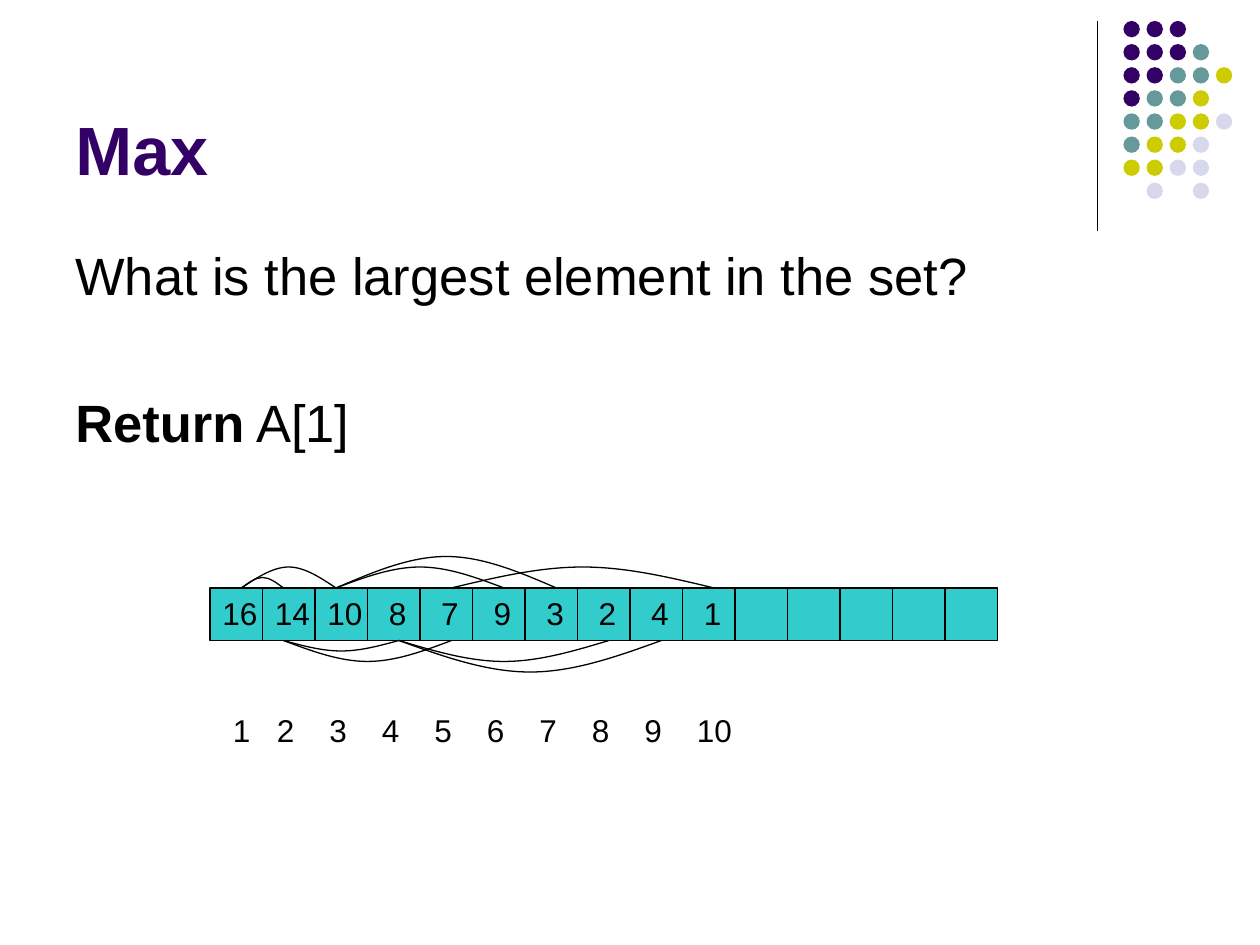
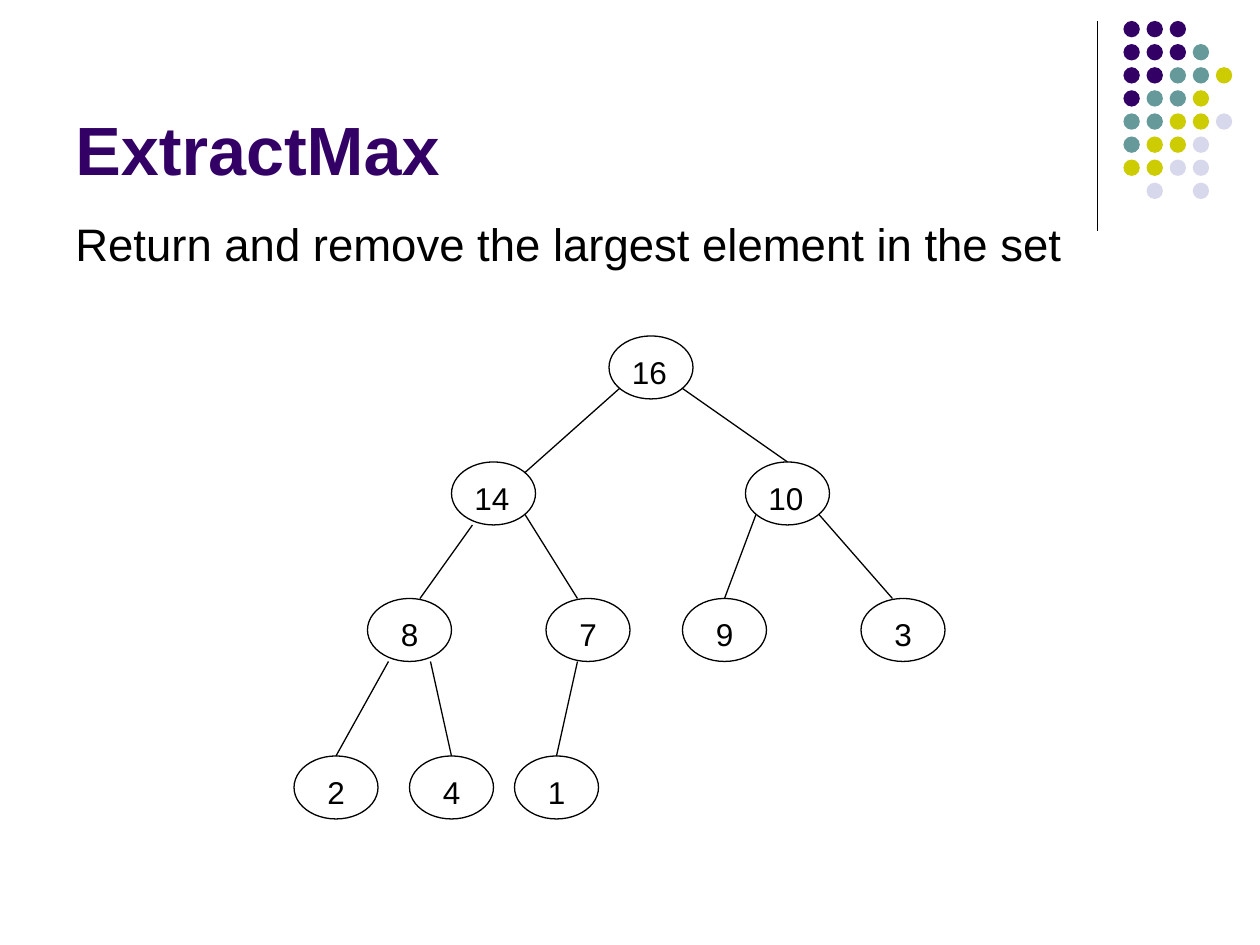
from lxml import etree
from pptx import Presentation
from pptx.dml.color import RGBColor
from pptx.enum.shapes import MSO_CONNECTOR, MSO_SHAPE
from pptx.enum.text import MSO_ANCHOR
from pptx.oxml.ns import qn
from pptx.util import Inches, Pt

OVAL, RECT = MSO_SHAPE.OVAL, MSO_SHAPE.RECTANGLE
STRAIGHT = MSO_CONNECTOR.STRAIGHT
TOP, BOTTOM = MSO_ANCHOR.TOP, MSO_ANCHOR.BOTTOM

BLACK = RGBColor(0x00, 0x00, 0x00)
PURPLE = RGBColor(0x33, 0x00, 0x66)
TEAL = RGBColor(0x66, 0x99, 0x99)
YELLOW = RGBColor(0xCC, 0xCC, 0x00)
LILAC = RGBColor(0xD8, 0xD8, 0xEC)
AQUA = RGBColor(0x33, 0xCC, 0xCC)
FONT = "Arial"

# Drawings sit on a grid of twelfths of an inch
UNIT = 1 / 12

# Corner ornament, one letter per dot
DOTS = ["PPP", "PPPT", "PPTTY", "PTTY", "TTYYL", "TYYL", "YYLL", " L L"]
INKS = {"P": PURPLE, "T": TEAL, "Y": YELLOW, "L": LILAC}

# The heap in array order; the parent of item n is n // 2
HEAP = [16, 14, 10, 8, 7, 9, 3, 2, 4, 1]
CELL, CELLS = 5 * UNIT, 15
# Where arcs meet the array, and the height of the arc from each item
# to its parent, negative below the array (grid units)
FEET = [3, 7, 12, 18, 23, 28, 33, 38, 43, 48]
ARCS = [1, 2, -1, -2, 2, 3, -2, -3, 2]
# Node corners in the tree (grid units)
NODES = [(30, 0), (15, 12), (43, 12), (7, 25), (24, 25),
         (37, 25), (54, 25), (0, 40), (11, 40), (21, 40)]
# Edge ends for items 2 to 10: offset in the parent, offset in the child
LOW, HIGH = (1, 5), (7, 5)
EDGES = [(LOW, (7, 1)), (HIGH, (4, 0)), ((2, 6), (5, 0)),
         (HIGH, (3, 0)), (LOW, (4, 0)), (HIGH, (3, 0)),
         ((2, 6), (4, 0)), ((6, 6), (4, 0)), ((3, 6), (4, 0))]


def set_tabs(para, stops, kind):
    tabs = etree.SubElement(para._p.get_or_add_pPr(), qn("a:tabLst"))
    for stop in stops:
        etree.SubElement(tabs, qn("a:tab"), pos=str(Inches(stop)), algn=kind)


def add_text(slide, box, lines, size=18, color=BLACK, bold=False, anchor=TOP,
             gap=0, stops=(), kind="l"):
    """Each line is a string, or a list of (text, bold) runs."""
    frame = slide.shapes.add_textbox(*map(Inches, box)).text_frame
    frame.word_wrap = True
    frame.vertical_anchor = anchor
    for i, line in enumerate(lines):
        para = frame.paragraphs[0] if i == 0 else frame.add_paragraph()
        if i:
            para.space_before = Pt(gap)
        if stops:
            set_tabs(para, stops, kind)
        for text, heavy in [(line, bold)] if isinstance(line, str) else line:
            run = para.add_run()
            run.text = text
            font = run.font
            font.name, font.size, font.bold = FONT, Pt(size), heavy
            font.color.rgb = color


def paint(shape, fill=None, line=True):
    shape.shadow.inherit = False
    if fill is None:
        shape.fill.background()
    else:
        shape.fill.solid()
        shape.fill.fore_color.rgb = fill
    if line:
        shape.line.color.rgb = BLACK
        shape.line.width = Pt(0.75)
    else:
        shape.line.fill.background()


def add_form(slide, form, box, fill=None, line=True):
    shape = slide.shapes.add_shape(form, *map(Inches, box))
    paint(shape, fill, line)


def add_line(slide, *ends):
    rule = slide.shapes.add_connector(STRAIGHT, *map(Inches, ends))
    rule.line.color.rgb = BLACK
    rule.line.width = Pt(0.75)
    etree.SubElement(rule._element.spPr, qn("a:effectLst"))


def add_arc(slide, x, y, width, lift):
    pen = slide.shapes.build_freeform(Inches(x), Inches(y), scale=1.0)
    tip = (Inches(x + width / 2), Inches(y - lift))
    pen.add_line_segments([tip, (Inches(x + width), Inches(y))], close=False)
    shape = pen.convert_to_shape()
    paint(shape)
    # Bend the two halves into curves that are level at the tip
    wide, high = Inches(width), Inches(abs(lift))
    base, peak = (high, 0) if lift > 0 else (0, high)
    mid = high // 2
    bends = [[(wide // 6, mid), (wide // 3, peak)],
             [(wide * 2 // 3, peak), (wide * 5 // 6, mid)]]
    ends = [(wide // 2, peak), (wide, base)]
    halves = list(shape._element.iter(qn("a:lnTo")))
    for half, bend, end in zip(halves, bends, ends):
        half.tag = qn("a:cubicBezTo")
        half.clear()
        for px, py in bend + [end]:
            etree.SubElement(half, qn("a:pt"), x=str(px), y=str(py))


def add_dots(slide, x, y, pitch=2.2 * UNIT, size=0.13):
    group = slide.shapes.add_group_shape()
    for r, row in enumerate(DOTS):
        for c, key in enumerate(row):
            if key in INKS:
                box = (x + c * pitch, y + r * pitch, size, size)
                add_form(group, OVAL, box, INKS[key], line=False)


def add_page(deck, title):
    slide = deck.slides.add_slide(deck.slide_layouts[6])
    add_line(slide, 8.71, 2 * UNIT, 8.71, 22 * UNIT)
    add_dots(slide, 107 * UNIT, 2 * UNIT)
    add_text(slide, (0.5, 0.13, 8.25, 1.42), [title], size=39, color=PURPLE,
             bold=True, anchor=BOTTOM)
    return slide


def add_array(slide, x, y):
    group = slide.shapes.add_group_shape()
    # Cells
    add_form(group, RECT, (x, y, CELL * CELLS, CELL), AQUA)
    for i in range(1, CELLS):
        add_line(group, x + i * CELL, y, x + i * CELL, y + CELL)
    # Values centred in the cells, then indices below
    count = range(len(HEAP) - 1)
    add_text(group, (x, y, 6.17, 0.4), ["\t".join(map(str, HEAP))],
             stops=[0.14 + (i + 1) * CELL for i in count], kind="ctr")
    marks = [str(i + 1) for i in range(len(HEAP))]
    add_text(group, (x + UNIT, y + 0.93, 6.17, 0.4), ["\t".join(marks)],
             stops=[0.35 + i * CELL for i in count])
    # Arcs from parent to child
    for n, lift in enumerate(ARCS, 2):
        start, end = FEET[n // 2 - 1], FEET[n - 1]
        edge = y if lift > 0 else y + CELL
        add_arc(group, x + start * UNIT, edge, (end - start) * UNIT,
                lift * UNIT)


def add_tree(slide, x, y):
    group = slide.shapes.add_group_shape()
    # Nodes, with one digit set further in than two
    for value, (col, row) in zip(HEAP, NODES):
        left, top = x + col * UNIT, y + row * UNIT
        add_form(group, OVAL, (left, top, 8 * UNIT, 6 * UNIT))
        inset = UNIT if value > 9 else 2 * UNIT
        add_text(group, (left + inset, top + UNIT, 7 * UNIT, 0.4),
                 [str(value)])
    # Edges
    for n, (start, end) in enumerate(EDGES, 2):
        top, low = NODES[n // 2 - 1], NODES[n - 1]
        add_line(group, x + (top[0] + start[0]) * UNIT,
                 y + (top[1] + start[1]) * UNIT,
                 x + (low[0] + end[0]) * UNIT, y + (low[1] + end[1]) * UNIT)


def max_slide(deck):
    slide = add_page(deck, "Max")
    lines = ["What is the largest element in the set?",
             [("Return", True), (" A[1]", False)]]
    add_text(slide, (0.5, 1.88, 9, 4.82), lines, size=30, gap=47.8)
    add_array(slide, 20 * UNIT, 56 * UNIT)


def extract_slide(deck):
    slide = add_page(deck, "ExtractMax")
    add_text(slide, (0.5, 20 * UNIT, 9, 0.67),
             ["Return and remove the largest element in the set"], size=26)
    add_tree(slide, 28 * UNIT, 32 * UNIT)


def main():
    deck = Presentation()
    deck.slide_width, deck.slide_height = Inches(10), Inches(7.5)
    max_slide(deck)
    extract_slide(deck)
    deck.save("out.pptx")


if __name__ == "__main__":
    main()
